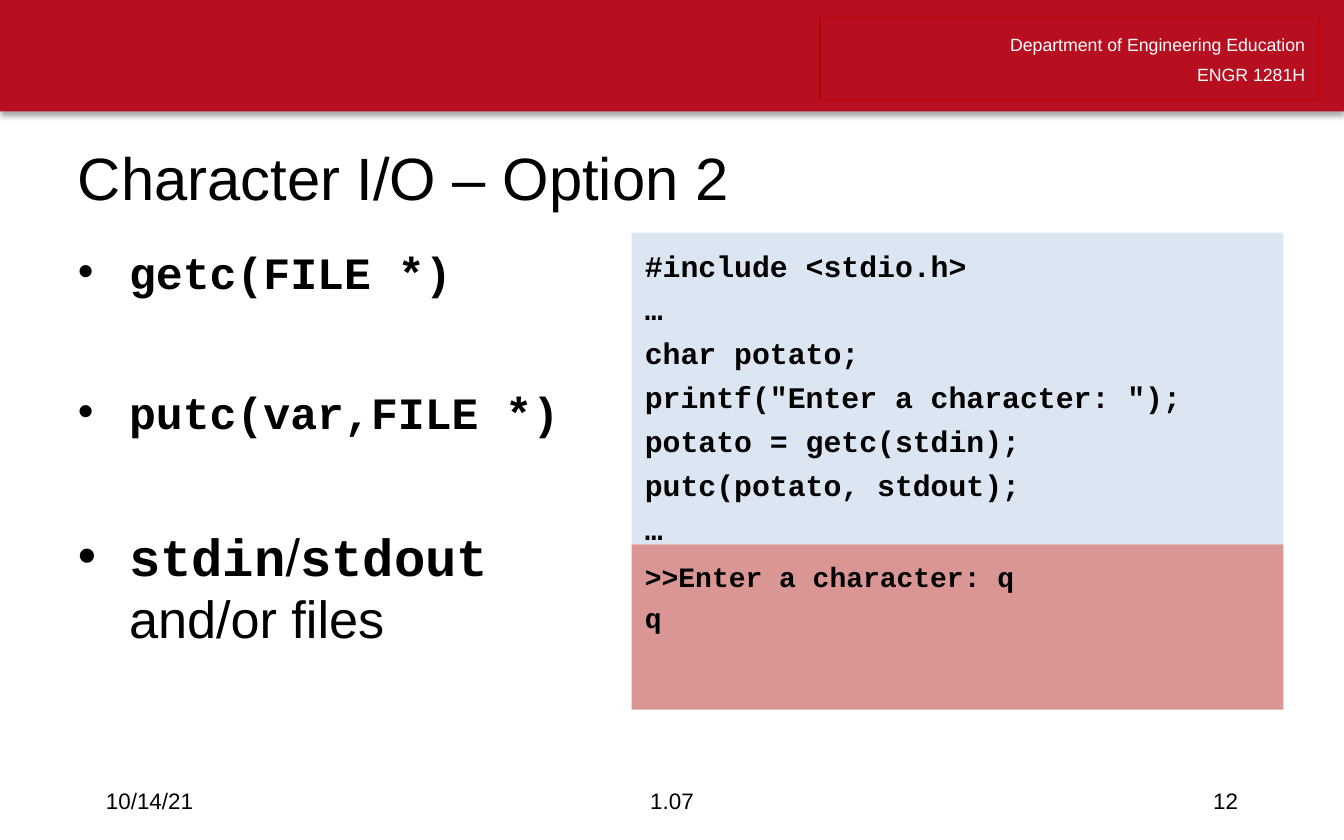
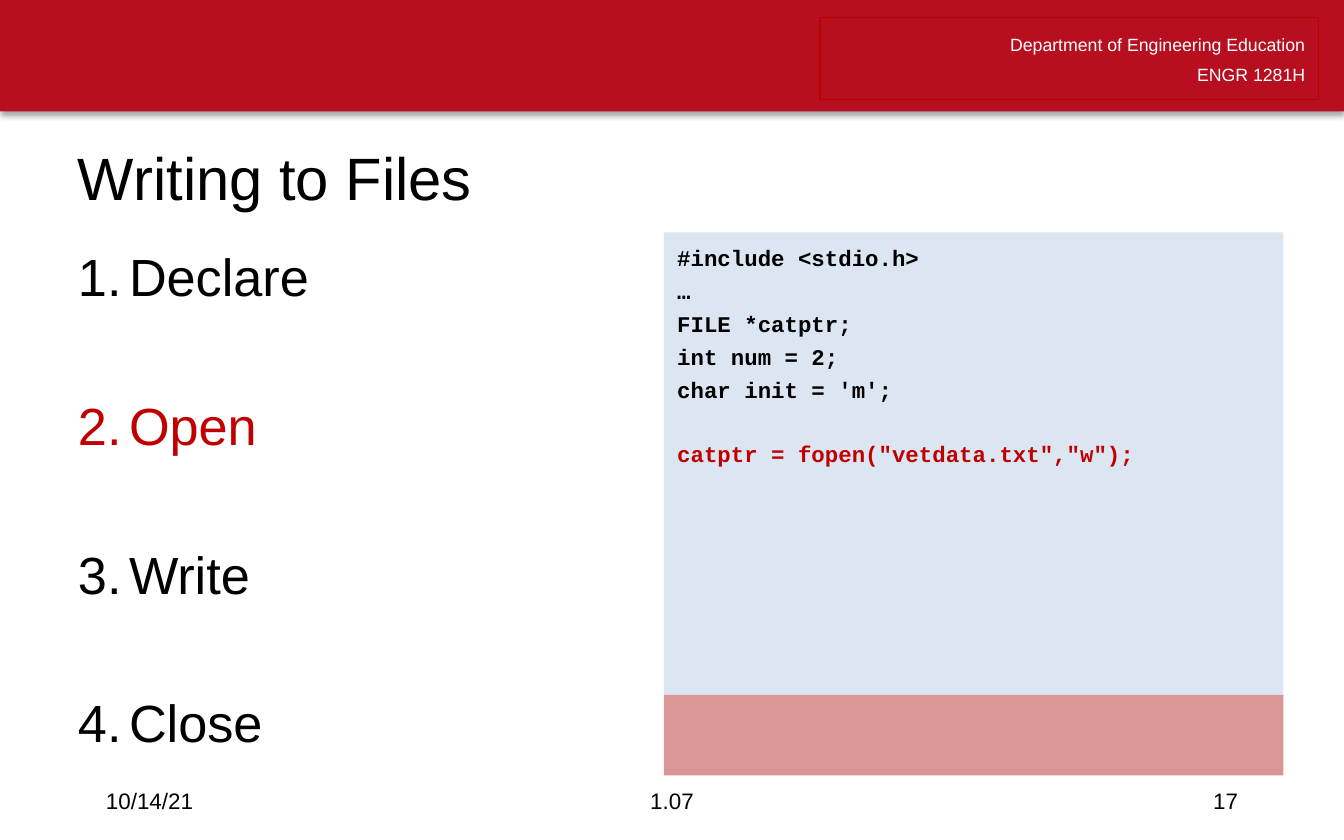
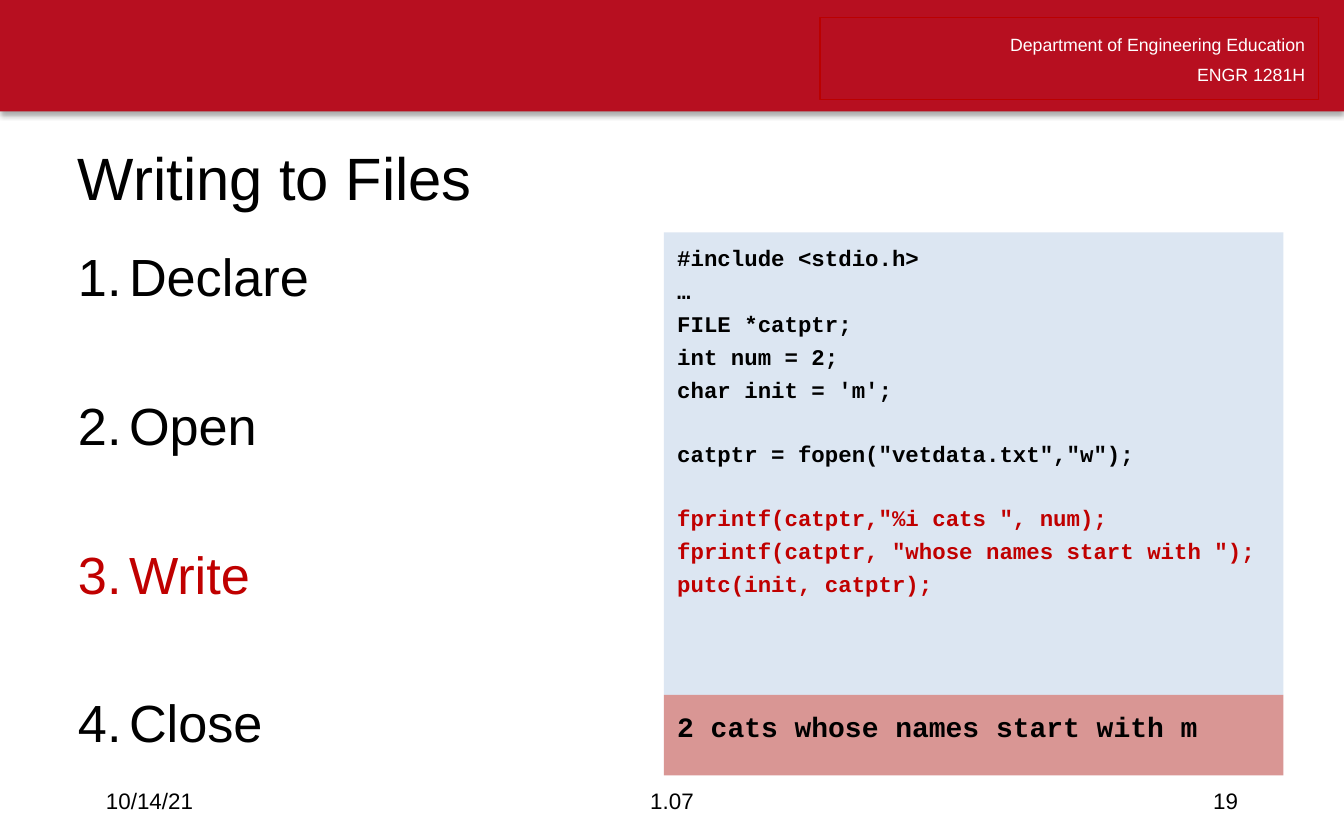
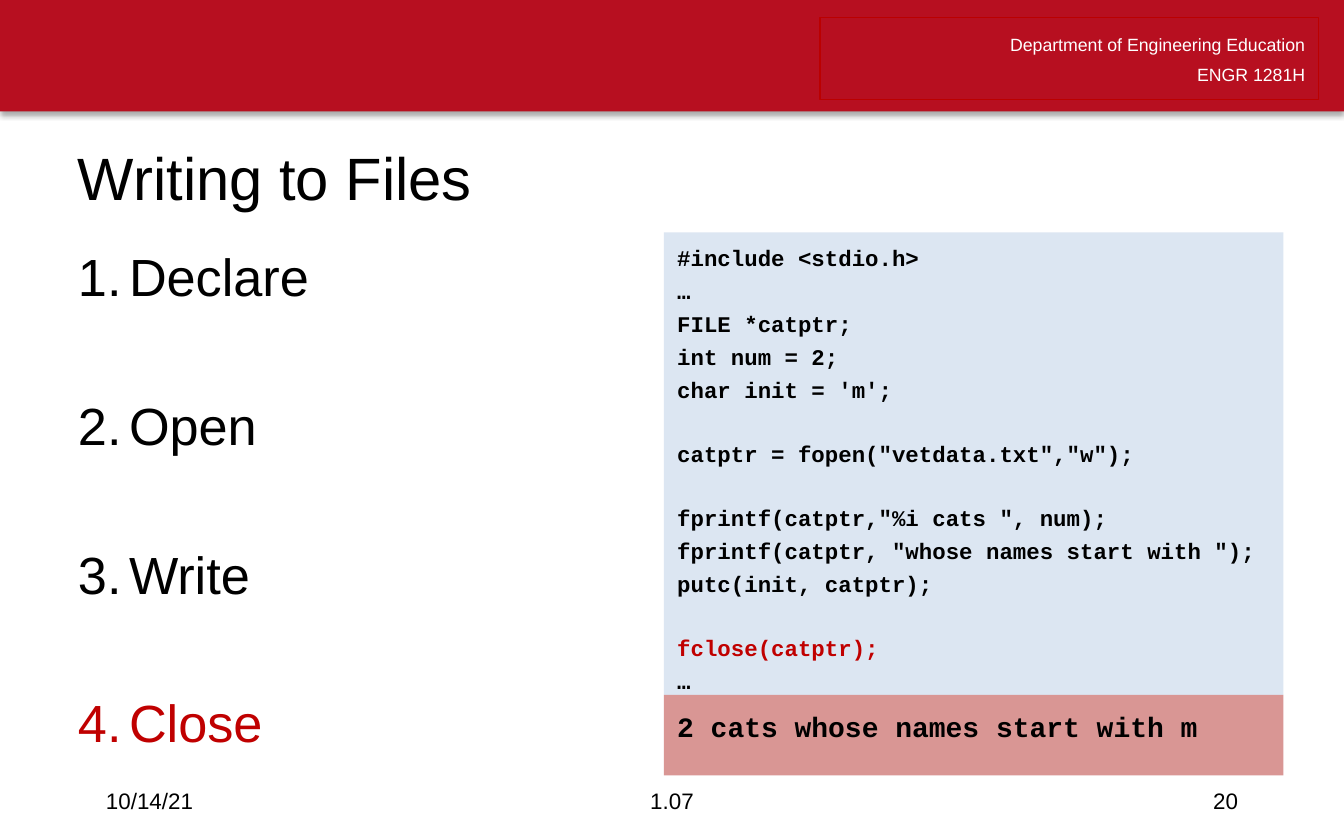
from lxml import etree
from pptx import Presentation
from pptx import util as u
from pptx.dml.color import RGBColor
from pptx.enum import shapes, text
from pptx.oxml import ns

COLORS = {
    "band": "B70F20", "frame": "BB0000", "code": "DCE6F2", "output": "D99694",
    "ink": "000000", "paper": "FFFFFF", "accent": "C00000",
}
SANS, MONO = "Arial", "Courier New"
EMU_PER_PX = 9144
RIGHT, PANEL_TOP = 955, 173
LIST_GAP = 46

STEPS = ["Declare", "Open", "Write", "Close"]
PROGRAM = [
    ["#include <stdio.h>", "…", "FILE *catptr;", "int num = 2;", "char init = 'm';"],
    ['catptr = fopen("vetdata.txt","w");'],
    ['fprintf(catptr,"%i cats ", num);',
     'fprintf(catptr, "whose names start with ");',
     "putc(init, catptr);"],
    ["fclose(catptr);", "…"],
]
OPTION_CODE = [[
    "#include <stdio.h>", "…", "char potato;", 'printf("Enter a character: ");',
    "potato = getc(stdin);", "putc(potato, stdout);", "…",
]]


def px(length):
    return u.Emu(length * EMU_PER_PX)


def rgb(name):
    return RGBColor.from_string(COLORS[name])


def sub(parent, tag, **attributes):
    return etree.SubElement(parent, ns.qn(tag), **attributes)


class Deck:
    """Holds the deck's style and its current slide."""

    def __init__(self):
        self.prs = Presentation()
        self.prs.slide_width, self.prs.slide_height = px(1000), px(625)
        self.layout = self.prs.slide_layouts[1]
        self.slide = None

    def start(self, title, number):
        first = self.slide is None
        self.slide = self.prs.slides.add_slide(self.layout)
        if first:
            self.header()
        heading = self.slide.shapes.title
        self.place(heading, 48, 96, 907, 71)
        frame = self.frame(heading, anchor=text.MSO_ANCHOR.MIDDLE)
        self.paragraph(frame, [(title, SANS, 32, False, "ink")])
        self.footer(69, 225, "10/14/21", text.PP_ALIGN.LEFT)
        self.footer(331, 338, "1.07", text.PP_ALIGN.CENTER)
        self.footer(706, 225, str(number), text.PP_ALIGN.RIGHT)

    def place(self, shape, left, top, width, height):
        shape.left, shape.top = px(left), px(top)
        shape.width, shape.height = px(width), px(height)

    def frame(self, shape, inset=5, anchor=text.MSO_ANCHOR.TOP):
        frame = shape.text_frame
        frame.word_wrap = True
        frame.auto_size = text.MSO_AUTO_SIZE.NONE
        frame.vertical_anchor = anchor
        frame.margin_left = frame.margin_right = px(10)
        frame.margin_top, frame.margin_bottom = px(inset), px(5)
        return frame

    def paragraph(self, frame, runs, align=text.PP_ALIGN.LEFT, gap=0):
        first = frame.paragraphs[0]
        para = frame.add_paragraph() if first.runs else first
        para.alignment = align
        para.space_before = u.Pt(gap if first.runs else 0)
        for words, font, size, bold, color in runs:
            run = para.add_run()
            run.text = words
            run.font.name, run.font.size, run.font.bold = font, u.Pt(size), bold
            run.font.color.rgb = rgb(color)
        return para

    def rectangle(self, left, top, width, height, fill=None, line=None):
        box = self.slide.shapes.add_shape(
            shapes.MSO_SHAPE.RECTANGLE, px(left), px(top), px(width), px(height))
        box.shadow.inherit = False
        if fill:
            box.fill.solid()
            box.fill.fore_color.rgb = rgb(fill)
        else:
            box.fill.background()
        self.outline(box, line)
        return box

    def outline(self, box, color):
        if color:
            box.line.color.rgb = rgb(color)
            box.line.width = u.Pt(0.75)
        else:
            box.line.fill.background()

    def header(self):
        band = self.rectangle(0, 0, 1000, 83, fill="band")
        effects = band.element.spPr.find(ns.qn("a:effectLst"))
        shadow = sub(effects, "a:outerShdw", blurRad=str(u.Pt(3.1)),
                     dist=str(u.Pt(1.8)), dir="5400000", rotWithShape="0")
        tint = sub(shadow, "a:srgbClr", val=COLORS["ink"])
        sub(tint, "a:alpha", val="35000")
        course = self.rectangle(610, 13, 371, 61, line="frame")
        frame = self.frame(course)
        for words in ("Department of Engineering Education", "ENGR 1281H"):
            para = self.paragraph(frame, [(words, SANS, 9.5, False, "paper")],
                                  text.PP_ALIGN.RIGHT)
            para.line_spacing = u.Pt(16.4)
        for order, part in enumerate((band, course)):
            part.element.nvSpPr.cNvPr.set("id", str(100 + order))
            self.layout.element.cSld.spTree.insert(2 + order, part.element)

    def footer(self, left, width, words, align):
        box = self.slide.shapes.add_textbox(px(left), px(579), px(width), px(33))
        frame = self.frame(box, anchor=text.MSO_ANCHOR.MIDDLE)
        self.paragraph(frame, [(words, SANS, 12, False, "ink")], align)

    def bullets(self, width, items, numbered=False):
        body = self.slide.placeholders[1]
        self.place(body, 48, PANEL_TOP, width, 407)
        self.outline(body, "paper")
        frame = self.frame(body, inset=9)
        for runs in items:
            para = self.paragraph(frame, runs, gap=LIST_GAP)
            props = para._p.get_or_add_pPr()
            props.set("marL", str(px(38)))
            props.set("indent", str(px(-38)))
            sub(sub(props, "a:buClr"), "a:srgbClr", val=COLORS[runs[0][-1]])
            sub(props, "a:buFont", typeface=SANS)
            if numbered:
                sub(props, "a:buAutoNum", type="arabicPeriod")
            else:
                sub(props, "a:buChar", char="•")

    def listing(self, left, top, height, fill, size, stanzas, active=None):
        panel = self.rectangle(left, top, RIGHT - left, height, fill=fill)
        gap = round(0.27 * size, 1)
        blank_line = gap + 1.13 * size
        frame = self.frame(panel, inset=5 + round(gap * 100 / 72))
        for index, stanza in enumerate(stanzas):
            for row, line in enumerate(stanza):
                color = "accent" if index == active and line != "…" else "ink"
                extra = blank_line if index and row == 0 else 0
                self.paragraph(frame, [(line, MONO, size, True, color)], gap=gap + extra)


def option_slide(deck):
    deck.start("Character I/O – Option 2", 12)
    deck.bullets(401, [
        [("getc(FILE *)", MONO, 24, True, "ink")],
        [("putc(var,FILE *)", MONO, 24, True, "ink")],
        [("stdin", MONO, 28, True, "ink"), ("/", SANS, 28, False, "ink"),
         ("stdout", MONO, 28, True, "ink"), (" and/or files", SANS, 28, False, "ink")],
    ])
    deck.listing(470, PANEL_TOP, 232, "code", 16, OPTION_CODE)
    deck.listing(470, 405, 123, "output", 15, [[">>Enter a character: q", "q"]])


def writing_slide(deck, number, active, output):
    deck.start("Writing to Files", number)
    deck.bullets(446, [
        [(step, SANS, 28, False, "accent" if index == active else "ink")]
        for index, step in enumerate(STEPS)
    ], numbered=True)
    deck.listing(494, PANEL_TOP, 344, "code", 12, PROGRAM[:active + 1], active)
    deck.listing(494, 517, 60, "output", 15, output)


def main():
    deck = Deck()
    option_slide(deck)
    written = [["2 cats whose names start with m"]]
    for number, step, output in ((17, "Open", []), (19, "Write", written),
                                 (20, "Close", written)):
        writing_slide(deck, number, STEPS.index(step), output)
    deck.prs.save("out.pptx")


if __name__ == "__main__":
    main()
